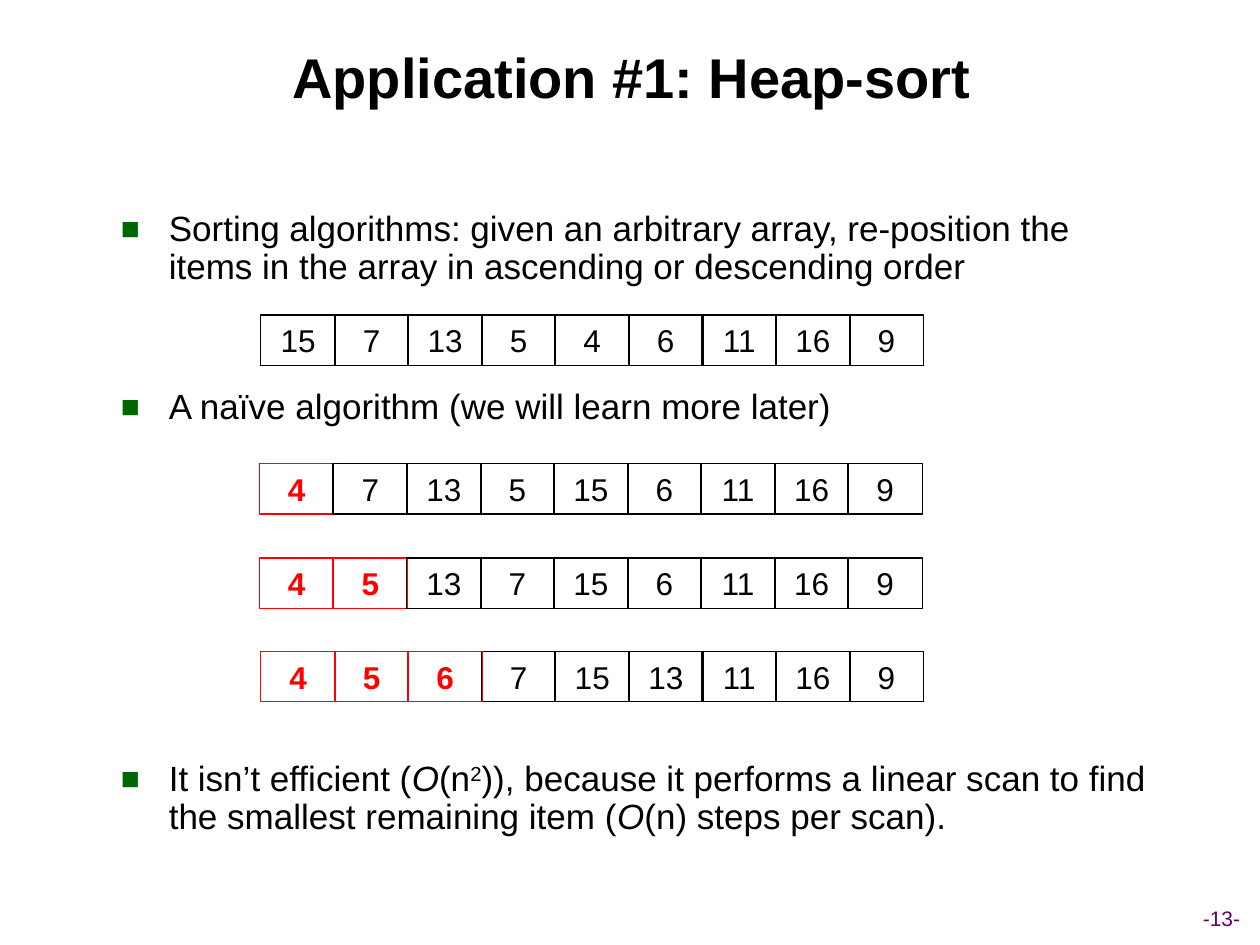
from lxml import etree
from pptx import Presentation
from pptx.dml.color import RGBColor
from pptx.enum.shapes import MSO_SHAPE
from pptx.enum.text import MSO_ANCHOR, MSO_AUTO_SIZE, PP_ALIGN
from pptx.oxml.ns import qn
from pptx.util import Inches, Pt

BLACK = RGBColor(0x00, 0x00, 0x00)
RED = RGBColor(0xFF, 0x00, 0x00)
GREEN = RGBColor(0x00, 0x66, 0x00)
PURPLE = RGBColor(0x66, 0x00, 0x66)
RECT = MSO_SHAPE.RECTANGLE
CENTER = PP_ALIGN.CENTER
TOP, MIDDLE = MSO_ANCHOR.TOP, MSO_ANCHOR.MIDDLE
NO_FIT = MSO_AUTO_SIZE.NONE

TITLE = "Application #1: Heap-sort"
PAGE = "-13-"
BULLETS = [
    (0, [("Sorting algorithms: given an arbitrary array, re-position the items "
          "in the array in ascending or descending order", "")]),
    (58.5, [("A naïve algorithm (we will learn more later)", "")]),
    (191, [("It isn’t efficient (", ""), ("O", "italic"), ("(n", ""), ("2", "super"),
           (")), because it performs a linear scan to find the smallest remaining item (", ""),
           ("O", "italic"), ("(n) steps per scan).", "")]),
]
ARRAYS = [
    (2.07, 2.5, 0, [15, 7, 13, 5, 4, 6, 11, 16, 9]),
    (2.06, 3.68, 1, [4, 7, 13, 5, 15, 6, 11, 16, 9]),
    (2.06, 4.43, 2, [4, 5, 13, 7, 15, 6, 11, 16, 9]),
    (2.07, 5.17, 3, [4, 5, 6, 7, 15, 13, 11, 16, 9]),
]
DRAW_ORDER = [4, 5, 6, 8, 0, 3, 1, 7, 2]
ROW_W, CELL_W, CELL_H = 5.26, 0.59, 0.4
STEP = (ROW_W - CELL_W) / (len(DRAW_ORDER) - 1)


def place(sp, left, top, width, height):
    box = {"left": left, "top": top, "width": width, "height": height}
    for name, value in box.items():
        setattr(sp, name, Inches(value))


def style(font, size, color, bold=False):
    font.color.rgb = color
    for name, value in {"name": "Arial", "size": Pt(size), "bold": bold}.items():
        setattr(font, name, value)


def set_text(sp, text, size, color, bold=False, anchor=MIDDLE, wrap=True):
    tf = sp.text_frame
    for name, value in {"word_wrap": wrap, "auto_size": NO_FIT, "vertical_anchor": anchor}.items():
        setattr(tf, name, value)
    p = tf.paragraphs[0]
    p.alignment = CENTER
    r = p.add_run()
    r.text = text
    style(r.font, size, color, bold)


def add_bullet(p):
    pPr = p._p.get_or_add_pPr()
    pPr.set("marL", str(Inches(0.38)))
    pPr.set("indent", str(-Inches(0.38)))
    clr = etree.SubElement(pPr, qn("a:buClr"))
    etree.SubElement(clr, qn("a:srgbClr"), val=str(GREEN))
    etree.SubElement(pPr, qn("a:buSzPct"), val="90000")
    etree.SubElement(pPr, qn("a:buFont"), typeface="Arial")
    etree.SubElement(pPr, qn("a:buChar"), char="■")


prs = Presentation()
prs.slide_width, prs.slide_height = Inches(10), Inches(7.5)
s = prs.slides.add_slide(prs.slide_layouts[1])
title, body = s.placeholders

place(title, 0.38, 0.13, 9.27, 0.95)
set_text(title, TITLE, 32, BLACK, bold=True)

place(body, 0.86, 1.63, 8.38, 5.25)
tf = body.text_frame
tf.auto_size = NO_FIT
for i, (gap, runs) in enumerate(BULLETS):
    p = tf.paragraphs[0] if i == 0 else tf.add_paragraph()
    add_bullet(p)
    p.line_spacing = 0.9
    p.space_before = Pt(gap)
    for text, kind in runs:
        r = p.add_run()
        r.text = text
        style(r.font, 20, BLACK)
        if kind == "italic":
            r.font.italic = True
        elif kind == "super":
            r.font._element.set("baseline", "30000")

for left, top, sorted_count, values in ARRAYS:
    for i in DRAW_ORDER:
        done = i < sorted_count
        color = RED if done else BLACK
        cell = s.shapes.add_shape(RECT, Inches(left + i * STEP), Inches(top),
                                  Inches(CELL_W), Inches(CELL_H))
        cell.shadow.inherit = False
        cell.fill.background()
        cell.line.color.rgb = color
        cell.line.width = Pt(0.75)
        set_text(cell, str(values[i]), 18, color, bold=done, anchor=TOP)

page = s.shapes.add_textbox(Inches(9.16), Inches(7.14), Inches(1.07), Inches(0.3))
set_text(page, PAGE, 12, PURPLE, wrap=False)

prs.save("out.pptx")
